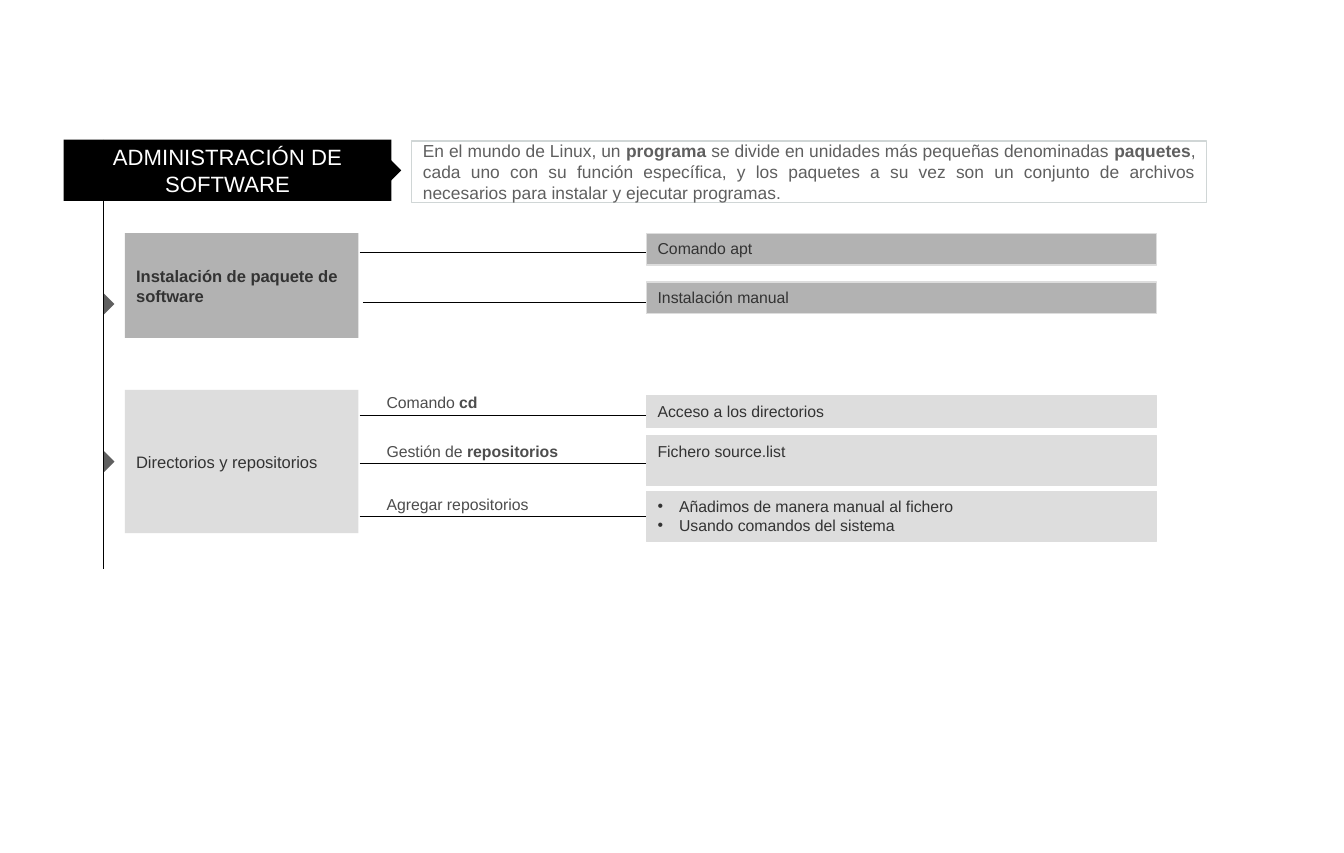
from lxml.etree import SubElement
from pptx import Presentation
from pptx.dml.color import RGBColor
from pptx.enum.shapes import MSO_CONNECTOR, MSO_SHAPE
from pptx.enum.text import MSO_ANCHOR, MSO_AUTO_SIZE, PP_ALIGN
from pptx.oxml.ns import qn
from pptx.util import Cm, Pt

HUES = {"black": "000000", "white": "FFFFFF", "frame": "D0D6D6", "mid": "B2B2B2",
        "pale": "DDDDDD", "ink": "333333", "label": "4D4D4D", "body": "5F5F5F"}
INSETS = {"margin_left": Cm(0.25), "margin_right": Cm(0.25),
          "margin_top": Cm(0.13), "margin_bottom": Cm(0.13), "word_wrap": True}


def hue(name):
    """Return the named colour."""
    return RGBColor.from_string(HUES[name])


def apply(target, values):
    """Set each attribute in values on the target."""
    for key, value in values.items():
        setattr(target, key, value)


def bullet(para):
    """Give the paragraph a hanging bullet."""
    props = para._p.get_or_add_pPr()
    props.set("marL", str(Cm(0.48)))
    props.set("indent", str(-Cm(0.48)))
    color = SubElement(props, qn("a:buClr"))
    SubElement(color, qn("a:srgbClr"), val=HUES["ink"])
    SubElement(props, qn("a:buFont"), typeface="Arial")
    SubElement(props, qn("a:buChar"), char="•")


def write(frame, lines, size, color, align=PP_ALIGN.LEFT, **extra):
    """Fill the frame with lines, where asterisks enclose bold words."""
    apply(frame, {**INSETS, **extra})
    for row, line in enumerate(lines):
        para = frame.add_paragraph() if row else frame.paragraphs[0]
        para.alignment = align
        if len(lines) > 1:
            bullet(para)
        for turn, part in enumerate(line.split("*")):
            if part:
                run = para.add_run()
                run.text = part
                apply(run.font, {"name": "Arial", "size": Pt(size), "bold": turn % 2 == 1})
                run.font.color.rgb = hue(color)


def block(slide, box, fill, edge=None, kind=MSO_SHAPE.RECTANGLE):
    """Add a flat filled shape in the box."""
    shape = slide.shapes.add_shape(kind, *map(Cm, box))
    shape.shadow.inherit = False
    shape.fill.solid()
    shape.fill.fore_color.rgb = hue(fill)
    if edge:
        shape.line.color.rgb = hue(edge)
        shape.line.width = Pt(0.75)
    else:
        shape.line.fill.background()
    return shape


def wire(slide, start, end, arrow=True):
    """Draw a thin black line between two points."""
    line = slide.shapes.add_connector(MSO_CONNECTOR.STRAIGHT, *map(Cm, start + end))
    line.line.color.rgb = hue("black")
    line.line.width = Pt(0.75)
    if arrow:
        SubElement(line.line._get_or_add_ln(), qn("a:tailEnd"), type="triangle")
    SubElement(line._element.spPr, qn("a:effectLst"))


def tip(slide, x, y, fill):
    """Add a triangle centred on the point and aimed right."""
    wide, high = 0.46, 0.23
    shape = block(slide, (x - wide / 2, y - high / 2, wide, high), fill,
                  kind=MSO_SHAPE.ISOSCELES_TRIANGLE)
    shape.rotation = 90


def header(slide, box, title, intro):
    """Place the title, its tip and the framed introduction."""
    x, y, wide, high = box
    head = block(slide, box, "black")
    write(head.text_frame, [title], 14, "white", PP_ALIGN.CENTER,
          vertical_anchor=MSO_ANCHOR.MIDDLE)
    tip(slide, x + wide + 0.1, y + high / 2, "black")
    note = block(slide, (x + wide + 0.45, y + 0.03, 17.75, high), "white", "frame")
    write(note.text_frame, [intro], 11, "body", PP_ALIGN.JUSTIFY,
          vertical_anchor=MSO_ANCHOR.MIDDLE)


def section(slide, box, topic, fill, aim, rows):
    """Place a topic box with its tip and its wired, labelled items."""
    x, y, wide, high = box
    main = block(slide, box, fill)
    write(main.text_frame, [topic], 10.5, "ink", vertical_anchor=MSO_ANCHOR.MIDDLE)
    tip(slide, x - 0.35, y + aim, "body")
    for shift, drop, top, tall, label, lines in rows:
        left, level = x + wide + 0.03 + shift, y + drop
        wire(slide, (left, level), (left + 6.73, level))
        if label:
            text = slide.shapes.add_textbox(Cm(left + 0.35), Cm(level - 0.62), Cm(5.79), Cm(0.69))
            write(text.text_frame, [label], 10, "label",
                  auto_size=MSO_AUTO_SIZE.SHAPE_TO_FIT_TEXT)
        item = block(slide, (x + 11.64, y + top, 11.38, tall), fill, "pale")
        write(item.text_frame, lines, 10, "ink", vertical_anchor=MSO_ANCHOR.TOP)


def main():
    """Build the slide and save it."""
    deck = Presentation()
    apply(deck, {"slide_width": Cm(30), "slide_height": Cm(19.05)})
    slide = deck.slides.add_slide(deck.slide_layouts[6])
    wire(slide, (2.31, 3.12), (2.31, 12.7), arrow=False)
    header(slide, (1.42, 3.12, 7.32, 1.37), "ADMINISTRACIÓN DE SOFTWARE",
           "En el mundo de Linux, un *programa* se divide en unidades más pequeñas "
           "denominadas *paquetes*, cada uno con su función específica, y los paquetes "
           "a su vez son un conjunto de archivos necesarios para instalar y ejecutar programas.")
    section(slide, (2.79, 5.21, 5.21, 2.34), "*Instalación de paquete de software*", "mid", 1.58, [
        (0, 0.43, 0, 0.71, None, ["Comando apt"]),
        (0.07, 1.55, 1.09, 0.71, None, ["Instalación manual"])])
    section(slide, (2.79, 8.71, 5.21, 3.2), "Directorios y repositorios", "pale", 1.6, [
        (0, 0.56, 0.13, 0.71, "Comando *cd*", ["Acceso a los directorios"]),
        (0, 1.65, 1.02, 1.12, "Gestión de *repositorios*", ["Fichero source.list"]),
        (0, 2.82, 2.26, 1.12, "Agregar repositorios",
         ["Añadimos de manera manual al fichero", "Usando comandos del sistema"])])
    deck.save("out.pptx")


if __name__ == "__main__":
    main()
